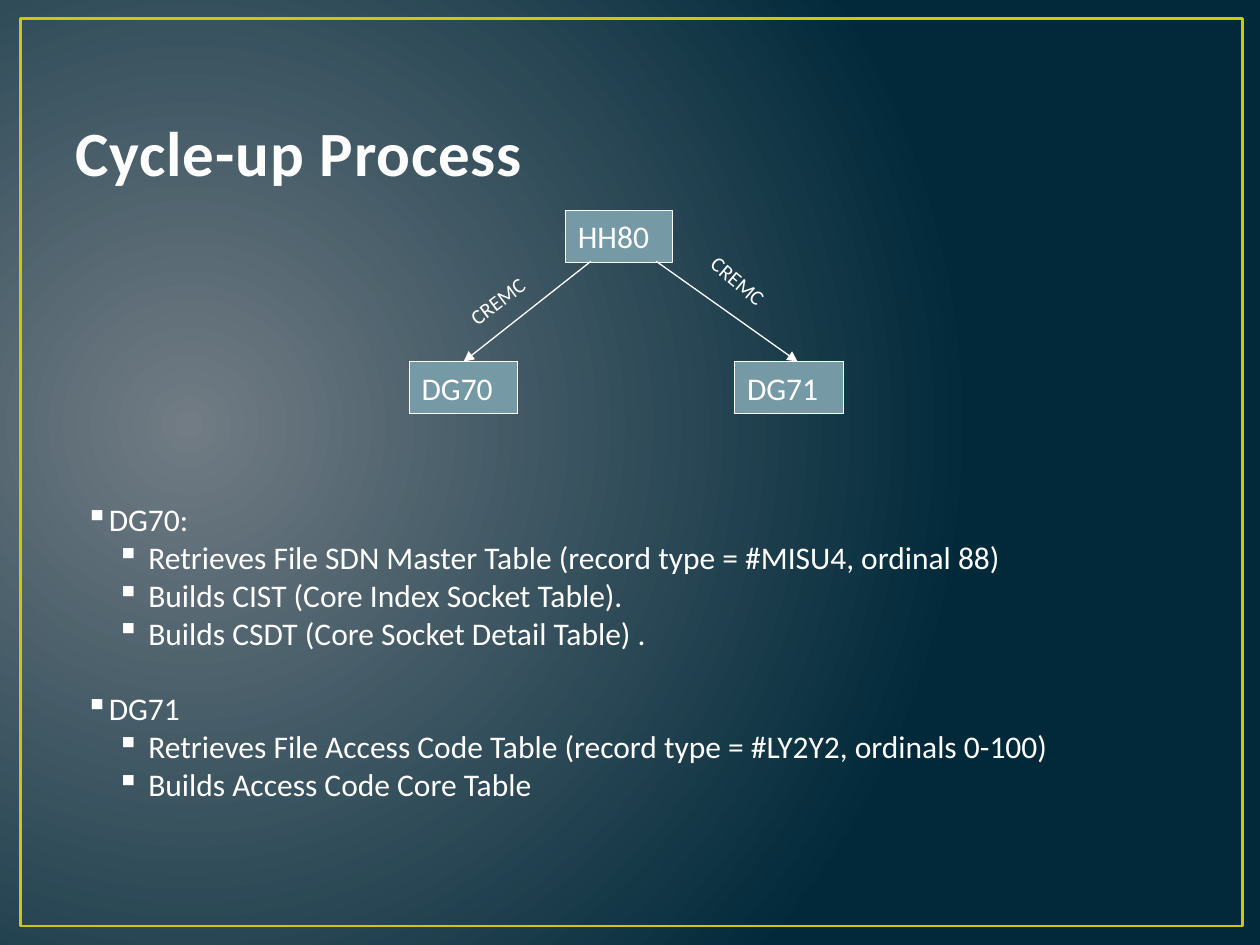
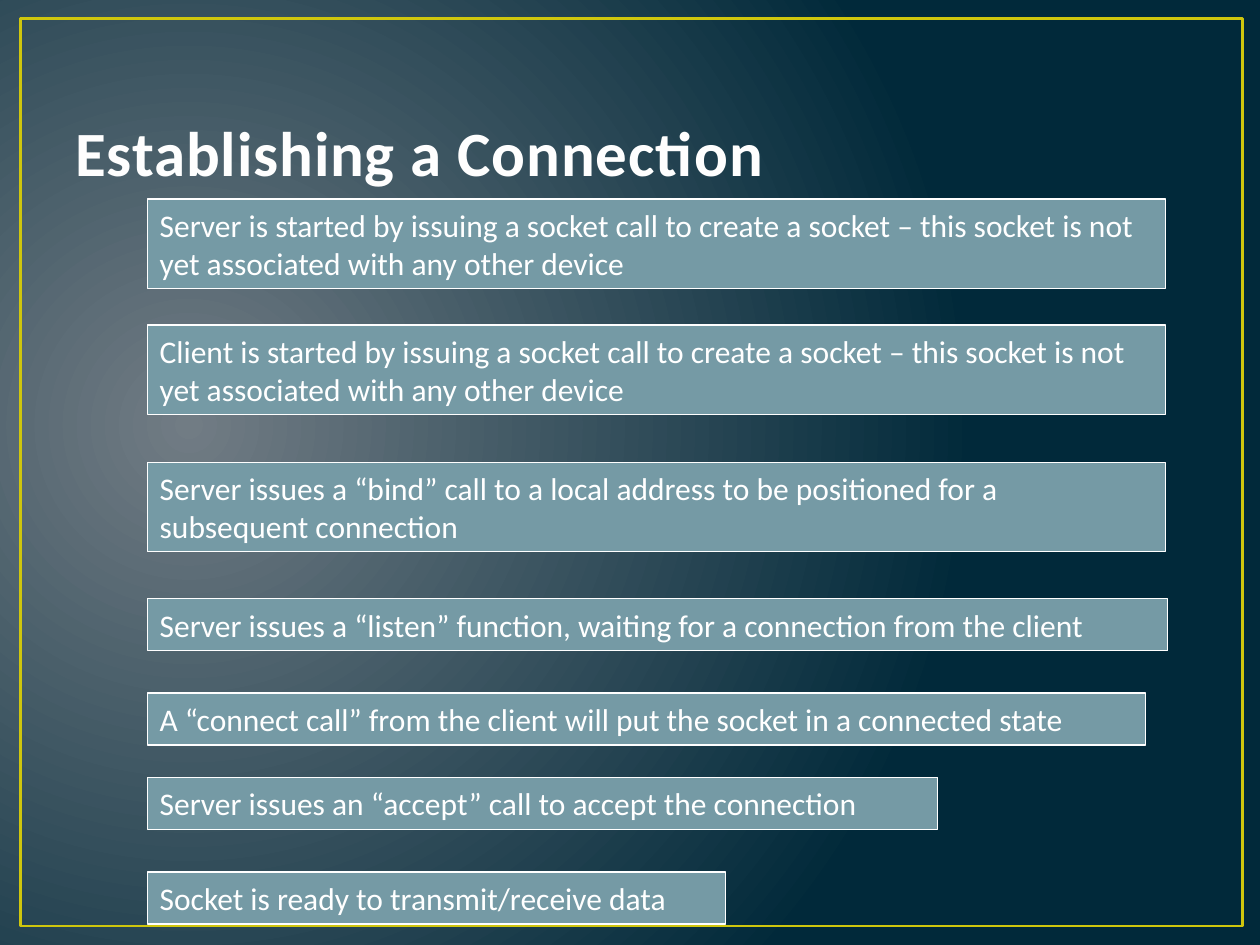
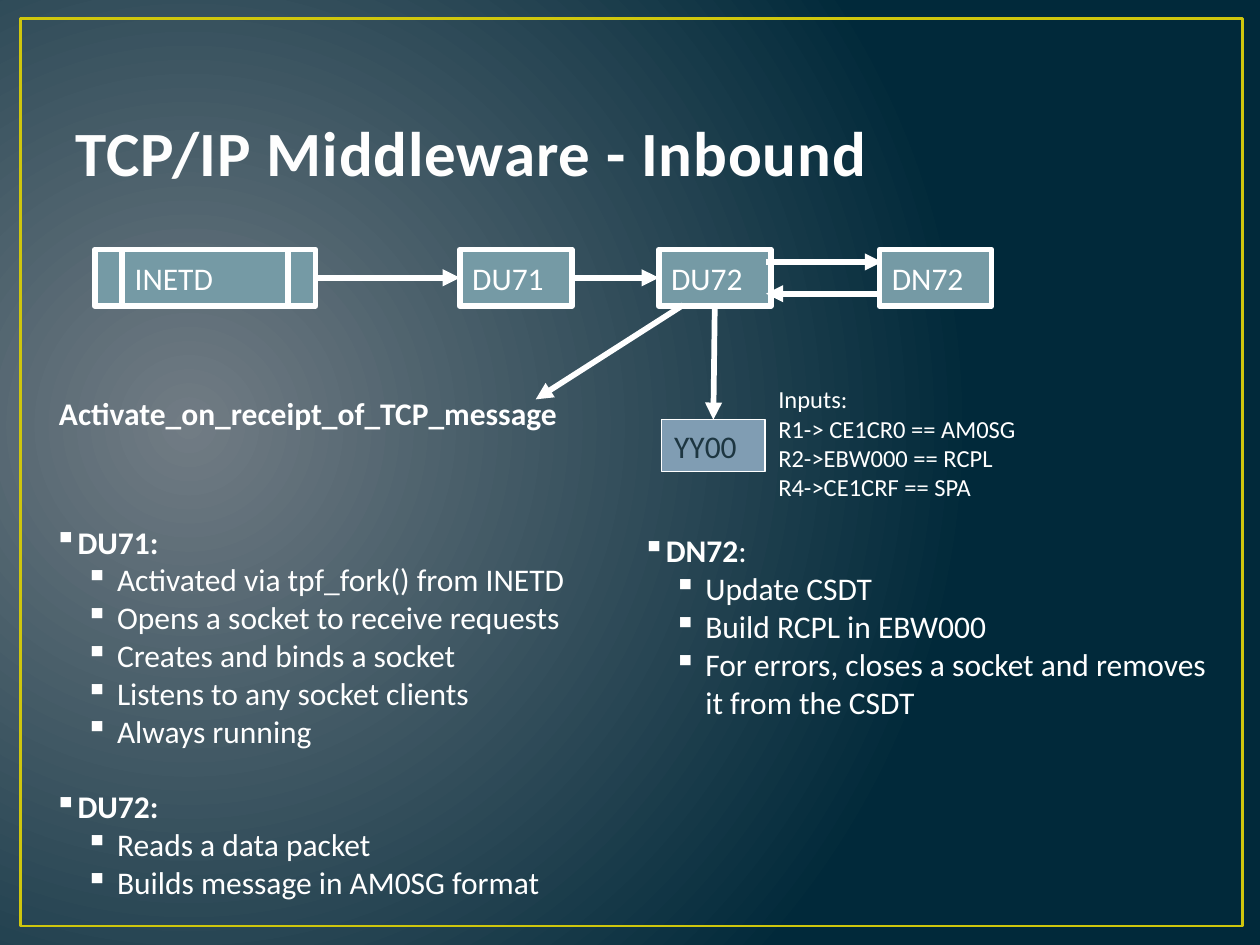
from dataclasses import dataclass
from typing import Optional

import pptx
import pptx.dml.color
import pptx.enum.shapes
import pptx.enum.text
import pptx.oxml.ns
import pptx.util
from lxml import etree
from pptx.util import Cm

SHAPE = pptx.enum.shapes.MSO_SHAPE
ANCHOR = pptx.enum.text.MSO_ANCHOR
TOP, LEFT, BOTTOM, RIGHT = range(4)


@dataclass(frozen=True)
class Theme:
    font: str = "Calibri"
    glow: str = "717C84"
    night: str = "01293A"
    frame: str = "CFC60D"
    title: str = "FEFEFE"
    title_outline: str = "384F55"
    text: str = "FFFFFF"
    box: str = "759AA5"
    accent_box: str = "809DB3"
    accent_text: str = "1D3641"
    title_size: float = 36
    body_size: float = 18
    note_size: float = 14
    label_size: float = 12
    topic_gap: float = 21.6
    frame_line: float = 1.5
    thin_line: float = 0.75
    thick_line: float = 3.25


THEME = Theme()


@dataclass(frozen=True)
class Area:
    """Position and size in centimetres."""
    left: float
    top: float
    width: float
    height: float

    def lengths(self) -> tuple:
        return Cm(self.left), Cm(self.top), Cm(self.width), Cm(self.height)


@dataclass(frozen=True)
class Box:
    text: str
    area: Area
    line: float = THEME.thin_line
    fill: str = THEME.box
    color: str = THEME.text
    kind: int = SHAPE.FLOWCHART_PROCESS


@dataclass(frozen=True)
class Label:
    lines: tuple
    area: Area
    size: float = THEME.body_size
    bold: bool = False
    rotation: float = 0


@dataclass(frozen=True)
class Arrow:
    start: tuple
    end: tuple
    line: float = THEME.thick_line


@dataclass(frozen=True)
class Topic:
    heading: str
    details: tuple
    plain_suffix: str = ""


def rgb(value: str):
    return pptx.dml.color.RGBColor.from_string(value)


def add_xml(parent, tag: str, **attributes: str):
    return etree.SubElement(parent, pptx.oxml.ns.qn(tag), attributes)


def style_paragraph(paragraph, size: float, color: str = THEME.text, bold: bool = False) -> None:
    paragraph.alignment = pptx.enum.text.PP_ALIGN.LEFT
    font = paragraph.font
    font.name, font.size, font.bold = THEME.font, pptx.util.Pt(size), bold
    font.color.rgb = rgb(color)


# Shared look
def set_background(master) -> None:
    fill = master.background.fill
    fill.gradient()
    for stop, color in zip(fill.gradient_stops, (THEME.glow, THEME.night)):
        stop.color.rgb = rgb(color)
    fill.gradient_stops[0].position, fill.gradient_stops[1].position = 0, 1
    gradient = master.element.find(".//" + pptx.oxml.ns.qn("p:bgPr")).find(
        pptx.oxml.ns.qn("a:gradFill"))
    gradient.remove(gradient.find(pptx.oxml.ns.qn("a:lin")))
    circle = add_xml(gradient, "a:path", path="circle")
    add_xml(circle, "a:fillToRect", l="15000", t="50000", r="85000", b="60000")


def add_titled_slide(presentation, title: str):
    slide = presentation.slides.add_slide(presentation.slide_layouts[6])
    frame = slide.shapes.add_shape(SHAPE.RECTANGLE, *Area(0.41, 0.38, 24.64, 18.29).lengths())
    frame.shadow.inherit = False
    frame.fill.background()
    frame.line.color.rgb = rgb(THEME.frame)
    frame.line.width = pptx.util.Pt(THEME.frame_line)

    shape = slide.shapes.add_textbox(*Area(1.27, 0.76, 22.86, 3.18).lengths())
    shape.text_frame.word_wrap = True
    shape.text_frame.vertical_anchor = ANCHOR.BOTTOM
    shape.text_frame.text = title
    style_paragraph(shape.text_frame.paragraphs[0], THEME.title_size, THEME.title, True)
    properties = shape.element.find(".//" + pptx.oxml.ns.qn("a:defRPr"))
    properties.set("spc", "50")
    outline = add_xml(properties, "a:ln", w=str(pptx.util.Pt(1.05)))
    add_xml(add_xml(outline, "a:solidFill"), "a:srgbClr", val=THEME.title_outline)
    properties.insert(0, outline)
    return slide


# Diagram parts
def add_box(slide, box: Box):
    shape = slide.shapes.add_shape(box.kind, *box.area.lengths())
    shape.shadow.inherit = False
    shape.fill.solid()
    shape.fill.fore_color.rgb = rgb(box.fill)
    shape.line.color.rgb = rgb(THEME.text)
    shape.line.width = pptx.util.Pt(box.line)
    shape.text_frame.word_wrap = True
    shape.text_frame.vertical_anchor = ANCHOR.MIDDLE
    shape.text_frame.text = box.text
    style_paragraph(shape.text_frame.paragraphs[0], THEME.body_size, box.color)
    return shape


def add_label(slide, label: Label) -> None:
    shape = slide.shapes.add_textbox(*label.area.lengths())
    shape.rotation = label.rotation
    shape.text_frame.word_wrap = True
    shape.text_frame.text = "\n".join(label.lines)
    for paragraph in shape.text_frame.paragraphs:
        style_paragraph(paragraph, label.size, bold=label.bold)


def add_arrow(slide, arrow: Arrow, begin: Optional[tuple] = None, end: Optional[tuple] = None) -> None:
    """Draw an arrow; begin and end may each name a (shape, side) to join."""
    connector = slide.shapes.add_connector(
        pptx.enum.shapes.MSO_CONNECTOR.STRAIGHT, *map(Cm, arrow.start + arrow.end))
    connector.line.color.rgb = rgb(THEME.text)
    connector.line.width = pptx.util.Pt(arrow.line)
    properties = connector.element.spPr
    add_xml(properties.find(pptx.oxml.ns.qn("a:ln")), "a:tailEnd", type="triangle")
    add_xml(properties, "a:effectLst")
    if begin:
        connector.begin_connect(*begin)
    if end:
        connector.end_connect(*end)


# Bulleted topics
def set_bullet(paragraph, margin: float, indent: float) -> None:
    properties = paragraph._p.get_or_add_pPr()
    properties.set("marL", str(Cm(margin)))
    properties.set("indent", str(Cm(indent)))
    add_xml(properties, "a:buChar", char="▪")


def add_topics(slide, area: Area, topics: tuple, bold: bool = True) -> None:
    text_frame = slide.shapes.add_textbox(*area.lengths()).text_frame
    text_frame.word_wrap = True
    for number, topic in enumerate(topics):
        heading = text_frame.add_paragraph() if number else text_frame.paragraphs[0]
        heading.add_run().text = topic.heading
        set_bullet(heading, 0, 0)
        style_paragraph(heading, THEME.body_size, bold=bold)
        if number:
            heading.space_before = pptx.util.Pt(THEME.topic_gap)
        if topic.plain_suffix:
            suffix = heading.add_run()
            suffix.text = topic.plain_suffix
            suffix.font.bold = False
        for detail in topic.details:
            paragraph = text_frame.add_paragraph()
            paragraph.text = detail
            paragraph.level = 1
            set_bullet(paragraph, 1.27, -0.64)
            style_paragraph(paragraph, THEME.body_size)


# Slides
def build_cycle_up(presentation) -> None:
    slide = add_titled_slide(presentation, "Cycle-up Process")
    add_box(slide, Box("HH80", Area(11.4, 4.24, 2.16, 1.05)))
    dg70 = add_box(slide, Box("DG70", Area(8.25, 7.29, 2.19, 1.05)))
    add_box(slide, Box("DG71", Area(14.81, 7.29, 2.19, 1.05)))
    add_arrow(slide, Arrow((11.91, 5.27), (9.32, 7.29), THEME.thin_line), end=(dg70, TOP))
    add_arrow(slide, Arrow((13.23, 5.27), (16.08, 7.29), THEME.thin_line))
    for left, top, rotation in ((9.12, 5.59, 323), (13.97, 5.38, 40.4)):
        add_label(slide, Label(("CREMC",), Area(left, top, 2.06, 0.76),
                               THEME.label_size, rotation=rotation))
    add_topics(slide, Area(1.47, 9.96, 20.88, 6.4), (
        Topic("DG70:", (
            "Retrieves File SDN Master Table (record type = #MISU4, ordinal 88)",
            "Builds CIST (Core Index Socket Table).",
            "Builds CSDT (Core Socket Detail Table) .")),
        Topic("DG71", (
            "Retrieves File Access Code Table (record type = #LY2Y2, ordinals 0-100)",
            "Builds Access Code Core Table")),
    ), bold=False)


def build_connection(presentation) -> None:
    slide = add_titled_slide(presentation, "Establishing a Connection")
    one_line, two_lines = 1.05, 1.8
    steps = (
        (4.01, 20.52, two_lines, "Server is started by issuing a socket call to create a socket – "
                                 "this socket is not yet associated with any other device"),
        (6.55, 20.52, two_lines, "Client is started by issuing a socket call to create a socket – "
                                 "this socket is not yet associated with any other device"),
        (9.32, 20.52, two_lines, "Server issues a “bind” call to a local address to be positioned "
                                 "for a subsequent connection"),
        (12.07, 20.57, one_line, "Server issues a “listen” function, waiting for a connection "
                                 "from the client"),
        (13.97, 20.12, one_line, "A “connect call” from the client will put the socket in a "
                                 "connected state"),
        (15.67, 15.93, one_line, "Server issues an “accept” call to accept the connection"),
        (17.58, 11.66, one_line, "Socket is ready to transmit/receive data"),
    )
    for top, width, height, text in steps:
        add_box(slide, Box(text, Area(2.97, top, width, height)))


def build_inbound(presentation) -> None:
    slide = add_titled_slide(presentation, "TCP/IP Middleware - Inbound")

    # Program flow
    inetd = add_box(slide, Box("INETD", Area(1.91, 5.03, 4.45, 1.14), THEME.thick_line,
                               kind=SHAPE.FLOWCHART_PREDEFINED_PROCESS))
    du71, du72, _ = [
        add_box(slide, Box(name, Area(left, 5.03, 2.26, 1.14), THEME.thick_line))
        for name, left in (("DU71", 9.27), ("DU72", 13.28), ("DN72", 17.73))]
    yy00 = add_box(slide, Box("YY00", Area(13.34, 8.46, 2.08, 1.05),
                              fill=THEME.accent_box, color=THEME.accent_text))
    add_arrow(slide, Arrow((6.36, 5.6), (9.27, 5.6)), (inetd, RIGHT), (du71, LEFT))
    add_arrow(slide, Arrow((11.53, 5.6), (13.28, 5.6)), (du71, RIGHT), (du72, LEFT))
    add_arrow(slide, Arrow((14.41, 6.17), (14.38, 8.46)), (du72, BOTTOM), (yy00, TOP))
    add_arrow(slide, Arrow((15.44, 5.28), (17.78, 5.28)))
    add_arrow(slide, Arrow((17.78, 5.92), (15.44, 5.92)))
    add_arrow(slide, Arrow((13.77, 6.15), (10.8, 8.05)))

    # Notes beside the flow
    add_label(slide, Label(("Activate_on_receipt_of_TCP_message",),
                           Area(0.94, 7.82, 12.19, 1.02), bold=True))
    add_label(slide, Label(("Inputs:", "R1-> CE1CR0 == AM0SG", "R2->EBW000 == RCPL",
                            "R4->CE1CRF == SPA"),
                           Area(15.44, 7.62, 6.25, 2.62), THEME.note_size))

    # Program descriptions
    add_topics(slide, Area(0.84, 10.41, 12.07, 7.87), (
        Topic("DU71:", (
            "Activated via tpf_fork() from INETD",
            "Opens a socket to receive requests",
            "Creates and binds a socket",
            "Listens to any socket clients",
            "Always running")),
        Topic("DU72:", ("Reads a data packet", "Builds message in AM0SG format")),
    ))
    add_topics(slide, Area(12.7, 10.59, 12.07, 4.83), (
        Topic("DN72", (
            "Update CSDT",
            "Build RCPL in EBW000",
            "For errors, closes a socket and removes it from the CSDT"), plain_suffix=":"),
    ))


def main() -> None:
    presentation = pptx.Presentation()
    presentation.slide_width, presentation.slide_height = Cm(25.4), Cm(19.05)
    set_background(presentation.slide_master)
    build_cycle_up(presentation)
    build_connection(presentation)
    build_inbound(presentation)
    presentation.save("out.pptx")


if __name__ == "__main__":
    main()
